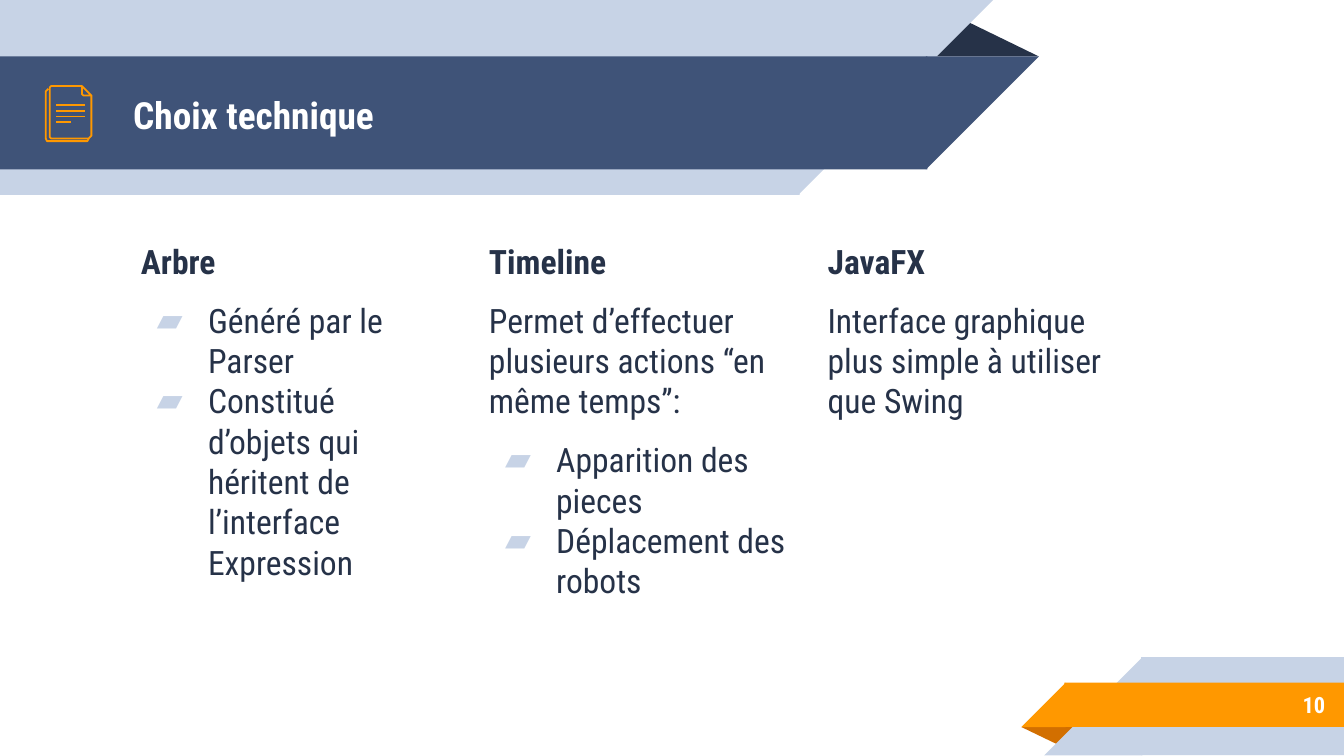
from dataclasses import dataclass

from lxml import etree
from pptx import Presentation
from pptx.dml.color import RGBColor
from pptx.enum import shapes as kinds, text as txt
from pptx.oxml import ns
from pptx.util import Inches, Pt


@dataclass(frozen=True)
class Theme:
    """Colours, font and type sizes of the slide."""
    font: str = "Roboto Condensed"
    dark: str = "263248"
    navy: str = "3F5378"
    pale: str = "C7D3E6"
    orange: str = "FF9800"
    rust: str = "D26F00"
    white: str = "FFFFFF"
    title: int = 20
    body: int = 18
    number: int = 12
    stroke: float = 0.96


THEME = Theme()
KIND = kinds.MSO_SHAPE


def rgb(color):
    """Turn a hex string into a colour."""
    return RGBColor.from_string(color)


def block(slide, kind, box, color, turn=0):
    """Add a filled preset shape without outline."""
    shape = slide.shapes.add_shape(kind, *map(Inches, box))
    shape.shadow.inherit = False
    shape.fill.solid()
    shape.fill.fore_color.rgb = rgb(color)
    shape.line.fill.background()
    shape.rotation = turn
    return shape


def band(slide, box, color, right):
    """Add a bar with a slanted end that it overlaps by a hair."""
    x, y, w, h = box
    lap = 0.01
    bar, cut = (x, x + w - h) if right else (x + h - lap, x)
    block(slide, KIND.RECTANGLE, (bar, y, w - h + lap, h), color)
    block(slide, KIND.RIGHT_TRIANGLE, (cut, y, h, h), color, 90 if right else 270)


def fold(slide, box, color, turn=0):
    """Add the dark triangle where a ribbon folds back."""
    block(slide, KIND.ISOSCELES_TRIANGLE, box, color, turn).adjustments[0] = 0.324


def frame(shape, anchor):
    """Set wrapping, insets and anchor of a text frame."""
    area = shape.text_frame
    area.word_wrap = True
    area.auto_size = txt.MSO_AUTO_SIZE.NONE
    area.vertical_anchor = anchor
    area.margin_left = area.margin_right = Inches(0.1)
    area.margin_top = area.margin_bottom = Inches(0.1)
    return area


def style(para, size, color, bold, align=txt.PP_ALIGN.LEFT):
    """Format a paragraph and its runs."""
    para.alignment = align
    for run in para.runs:
        run.font.name = THEME.font
        run.font.size = Pt(size)
        run.font.bold = bold
        run.font.color.rgb = rgb(color)


def bullet(para):
    """Give a paragraph a hanging pale bullet."""
    props = para._p.get_or_add_pPr()
    props.set("marL", str(Inches(0.5)))
    props.set("indent", str(Inches(-0.38)))
    tint = etree.SubElement(props, ns.qn("a:buClr"))
    etree.SubElement(tint, ns.qn("a:srgbClr")).set("val", THEME.pale)
    etree.SubElement(props, ns.qn("a:buFont")).set("typeface", THEME.font)
    etree.SubElement(props, ns.qn("a:buChar")).set("char", "▰")


def header(slide, box, words):
    """Place the title ribbon in its box."""
    x, y, w, h = box
    fold(slide, (x + w - 0.85, y + 0.14, 0.85, 0.28), THEME.dark)
    band(slide, (x, y, w - 0.34, h), THEME.pale, True)
    band(slide, (x, y + 0.42, w, 0.84), THEME.navy, True)
    title = slide.shapes.title
    title.left, title.top = Inches(x + 0.89), Inches(y + 0.43)
    title.width, title.height = Inches(5.75), Inches(0.84)
    slide.shapes._spTree.append(title._element)
    area = frame(title, txt.MSO_ANCHOR.MIDDLE)
    area.text = words
    style(area.paragraphs[0], THEME.title, THEME.white, True)


def footer(slide, box, number):
    """Place the page number ribbon in its box."""
    x, y, w, h = box
    fold(slide, (x, y + 0.52, 0.43, 0.14), THEME.rust, 180)
    band(slide, (x + 0.17, y, w - 0.17, h), THEME.pale, False)
    band(slide, (x, y + 0.19, w, 0.33), THEME.orange, False)
    page = slide.shapes.add_textbox(
        *map(Inches, (x + 0.73, y + 0.18, 1.63, 0.35)))
    area = frame(page, txt.MSO_ANCHOR.MIDDLE)
    area.text = number
    style(area.paragraphs[0], THEME.number, THEME.white, True, txt.PP_ALIGN.RIGHT)


def column(slide, box, head, parts):
    """Place a heading with its (text, bulleted) paragraphs."""
    area = frame(slide.shapes.add_textbox(*map(Inches, box)), txt.MSO_ANCHOR.TOP)
    area.text = "\n".join([head] + [words for words, _ in parts])
    first, *rest = area.paragraphs
    first.space_before = Pt(6)
    style(first, THEME.body, THEME.dark, True)
    listed = False
    for para, (_, marked) in zip(rest, parts):
        para.space_before = Pt(0 if listed and marked else 10)
        style(para, THEME.body, THEME.dark, False)
        if marked:
            bullet(para)
        listed = marked


def pen(line):
    """Set the icon stroke."""
    line.color.rgb = rgb(THEME.orange)
    line.width = Pt(THEME.stroke)


def outline(slide, x, y, points, close=False):
    """Draw an unfilled outline through points relative to x, y."""
    spots = [(Inches(x + dx), Inches(y + dy)) for dx, dy in points]
    path = slide.shapes.build_freeform(*spots[0])
    path.add_line_segments(spots[1:], close=close)
    shape = path.convert_to_shape()
    shape.shadow.inherit = False
    shape.fill.background()
    pen(shape.line)


def icon(slide, box):
    """Draw the stacked pages icon in its box."""
    x, y, w, h = box
    outline(slide, x, y, [
        (0.32, 0.39), (0.31, 0.41), (0.3, h), (0.02, h), (0.01, 0.41),
        (0, 0.39), (0, 0.04), (0.01, 0.03), (0.02, 0.02)])
    outline(slide, x, y, [
        (w, 0.07), (w, 0.37), (0.33, 0.38), (0.32, 0.39), (0.04, 0.39),
        (0.03, 0.38), (0.03, 0.01), (0.04, 0), (0.27, 0)])
    for row, wide in enumerate((0.21, 0.21, 0.21, 0.11)):
        level = Inches(y + 0.14 + row * 0.13 / 3)
        rule = slide.shapes.add_connector(
            kinds.MSO_CONNECTOR.STRAIGHT,
            Inches(x + 0.08 + wide), level, Inches(x + 0.08), level)
        pen(rule.line)
        etree.SubElement(rule._element.spPr, ns.qn("a:effectLst"))
    outline(slide, x, y, [
        (0.27, 0.06), (0.27, 0), (w, 0.07), (0.29, 0.07), (0.28, 0.07)], True)


def main():
    """Build and save the slide."""
    deck = Presentation()
    deck.slide_width, deck.slide_height = Inches(10), Inches(10 * 9 / 16)
    slide = deck.slides.add_slide(deck.slide_layouts[5])
    header(slide, (0, 0, 7.73, 1.45), "Choix technique")
    columns = [
        (0.95, "Arbre", [
            ("Généré par le Parser", True),
            ("Constitué d’objets qui héritent de l’interface Expression", True)]),
        (3.54, "Timeline", [
            ("Permet d’effectuer plusieurs actions “en même temps”:", False),
            ("Apparition des pieces", True),
            ("Déplacement des robots", True)]),
        (6.06, "JavaFX", [
            ("Interface graphique plus simple à utiliser que Swing", False)])]
    for left, head, parts in columns:
        column(slide, (left, 1.69, 2.46, 2.96), head, parts)
    footer(slide, (7.6, 4.89, 2.4, 0.73), "10")
    icon(slide, (0.34, 0.64, 0.34, 0.41))
    deck.save("out.pptx")


if __name__ == "__main__":
    main()
